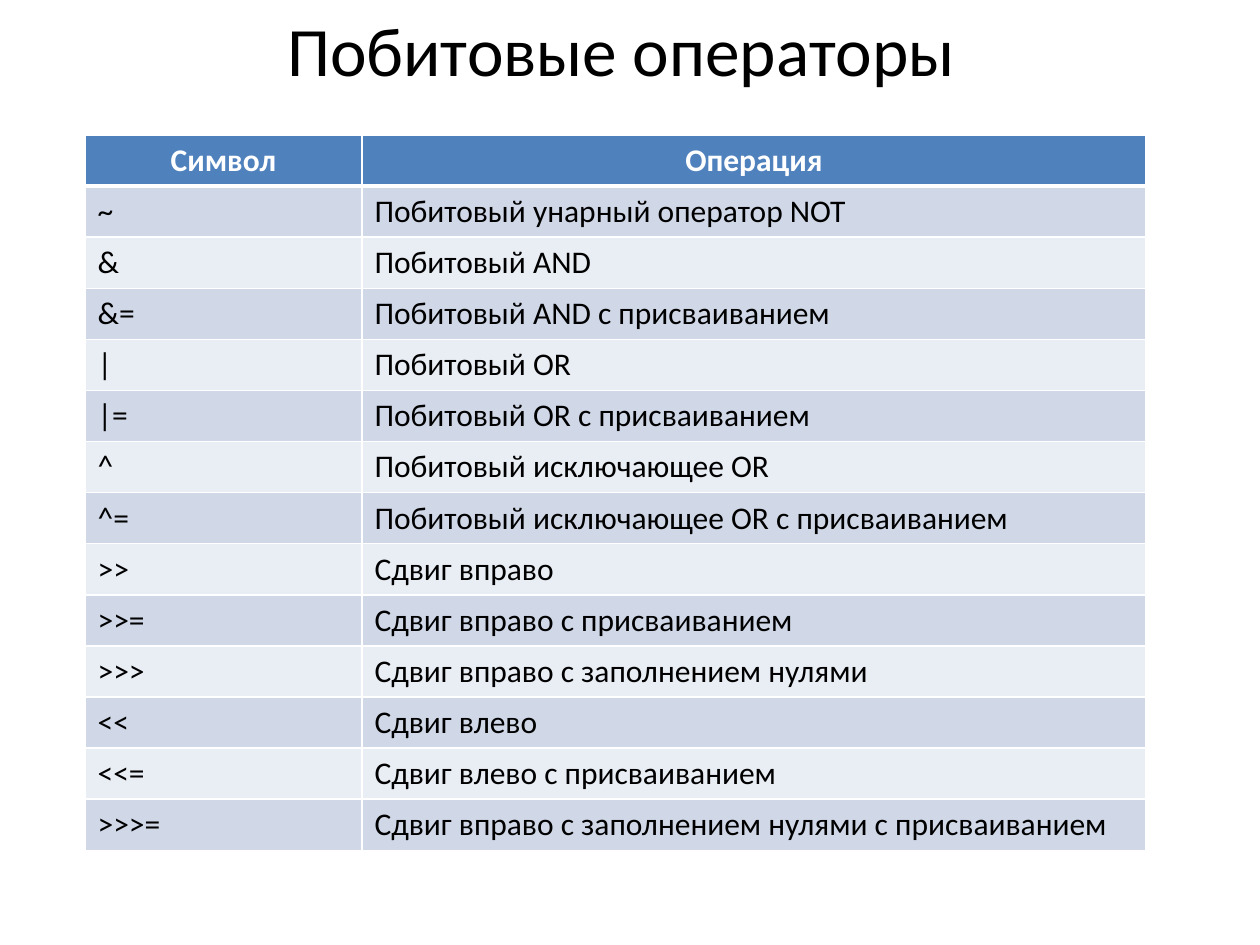
from dataclasses import dataclass

from lxml import etree
from pptx import Presentation, util as u
from pptx.dml.color import RGBColor
from pptx.enum import text
from pptx.oxml.ns import qn

PX = 7257  # EMU per px, 126 px to the inch
FONT = "Calibri"
WHITE, BLACK, BLUE = "FFFFFF", "000000", "4F81BD"
BANDS = ("D0D8E8", "E9EDF4")
COLS = (277, 784)
ROW = 51


@dataclass
class Style:
    size: float
    color: str
    bold: bool = False
    align: text.PP_ALIGN = text.PP_ALIGN.LEFT


TITLE = Style(39.6, BLACK, align=text.PP_ALIGN.CENTER)
HEAD = Style(18, WHITE, True, text.PP_ALIGN.CENTER)
BODY = Style(18, BLACK)

HEADS = ("Символ", "Операция")
OPS = (
    ("~", "Побитовый унарный оператор NOT"),
    ("&", "Побитовый AND"),
    ("&=", "Побитовый AND с присваиванием"),
    ("|", "Побитовый OR"),
    ("|=", "Побитовый OR с присваиванием"),
    ("^", "Побитовый исключающее OR"),
    ("^=", "Побитовый исключающее OR с присваиванием"),
    (">>", "Сдвиг вправо"),
    (">>=", "Сдвиг вправо с присваиванием"),
    (">>>", "Сдвиг вправо с заполнением нулями"),
    ("<<", "Сдвиг влево"),
    ("<<=", "Сдвиг влево с присваиванием"),
    (">>>=", "Сдвиг вправо с заполнением нулями с присваиванием"),
)


def px(n: int) -> int:
    return u.Emu(n * PX)


def rgb(code: str) -> RGBColor:
    return RGBColor.from_string(code)


def write(frame, words: str, style: Style) -> None:
    frame.text = words
    para = frame.paragraphs[0]
    para.alignment = style.align
    font = para.runs[0].font
    font.name, font.size, font.bold = FONT, u.Pt(style.size), style.bold
    font.color.rgb = rgb(style.color)


def edge(cell, side: str, width: float) -> None:
    props = cell._tc.get_or_add_tcPr()
    line = etree.SubElement(props, qn(f"a:ln{side}"), w=str(u.Pt(width)))
    fill = etree.SubElement(line, qn("a:solidFill"))
    etree.SubElement(fill, qn("a:srgbClr"), val=WHITE)


def draw_cell(cell, words: str, row: int) -> None:
    # Borders come before the fill; the rule under the header is thicker
    for side in "LRTB":
        thick = (row, side) in ((0, "B"), (1, "T"))
        edge(cell, side, 3 if thick else 1)
    cell.fill.solid()
    cell.fill.fore_color.rgb = rgb(BANDS[(row - 1) % 2] if row else BLUE)
    if row:
        cell.vertical_anchor = text.MSO_ANCHOR.MIDDLE
    write(cell.text_frame, words, BODY if row else HEAD)


def draw_table(slide, left: int, top: int) -> None:
    rows = (HEADS, *OPS)
    table = slide.shapes.add_table(
        len(rows), len(COLS), px(left), px(top), px(sum(COLS)), px(ROW * len(rows))
    ).table
    for col, width in zip(table.columns, COLS):
        col.width = px(width)
    for r, row in enumerate(rows):
        table.rows[r].height = px(ROW)
        for c, words in enumerate(row):
            draw_cell(table.cell(r, c), words, r)


def draw_title(slide, words: str) -> None:
    title = slide.shapes.title
    title.left, title.top, title.width, title.height = map(px, (54, 0, 1134, 97))
    frame = title.text_frame
    frame.vertical_anchor = text.MSO_ANCHOR.MIDDLE
    frame.auto_size = text.MSO_AUTO_SIZE.NONE
    write(frame, words, TITLE)


def main() -> None:
    deck = Presentation()
    deck.slide_width, deck.slide_height = u.Inches(10), u.Inches(7.5)
    slide = deck.slides.add_slide(deck.slide_layouts[5])
    draw_title(slide, "Побитовые операторы")
    draw_table(slide, 85, 135)
    deck.save("out.pptx")


if __name__ == "__main__":
    main()
